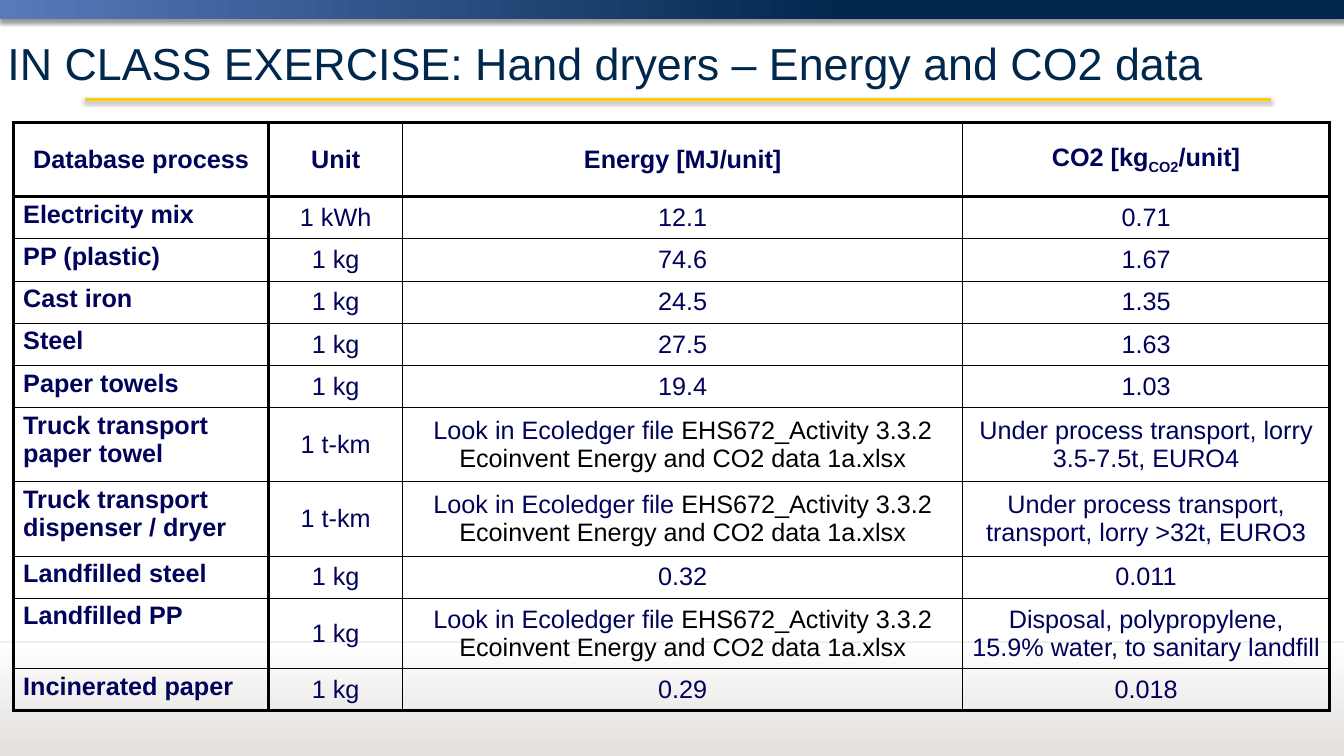
from lxml.etree import SubElement
from pptx import Presentation
from pptx.dml.color import RGBColor
from pptx.enum.shapes import MSO_CONNECTOR, MSO_SHAPE
from pptx.enum.text import MSO_ANCHOR, PP_ALIGN
from pptx.oxml import parse_xml
from pptx.oxml.ns import nsdecls, qn
from pptx.util import Cm, Pt

NAVY = RGBColor(0x00, 0x27, 0x4C)
BLUE = RGBColor(0x58, 0x7A, 0xBC)
MAIZE = RGBColor(0xFF, 0xCB, 0x05)
STONE = RGBColor(0xE4, 0xE1, 0xDF)
WHITE = RGBColor(0xFF, 0xFF, 0xFF)
INK = RGBColor(0x01, 0x03, 0x5B)
BLACK = RGBColor(0x00, 0x00, 0x00)

FONT = "Arial"
SLIDE_WIDTH, SLIDE_HEIGHT = 45.16, 25.4
THICK, THIN = Pt(3), Pt(0.96)

COLUMN_WIDTHS = [8.56, 4.52, 18.8, 12.34]
ROW_HEIGHTS = [2.49] + [1.42] * 5 + [2.49] * 2 + [1.42, 2.36, 1.42]

HEADERS = ["Database process", "Unit", "Energy [MJ/unit]"]
LOOKUP = None  # the energy value has to be found in the data file
PROCESSES = [
    ("Electricity mix", "1 kWh", "12.1", "0.71"),
    ("PP (plastic)", "1 kg", "74.6", "1.67"),
    ("Cast iron", "1 kg", "24.5", "1.35"),
    ("Steel", "1 kg", "27.5", "1.63"),
    ("Paper towels", "1 kg", "19.4", "1.03"),
    ("Truck transport paper towel", "1 t-km", LOOKUP,
     "Under process transport, lorry 3.5-7.5t, EURO4"),
    ("Truck transport dispenser / dryer", "1 t-km", LOOKUP,
     "Under process transport, transport, lorry >32t, EURO3"),
    ("Landfilled steel", "1 kg", "0.32", "0.011"),
    ("Landfilled PP", "1 kg", LOOKUP,
     "Disposal, polypropylene, 15.9% water, to sanitary landfill"),
    ("Incinerated paper", "1 kg", "0.29", "0.018"),
]


def add_shadow(item, opacity, blur, distance):
    """Cast a black shadow straight down; opacity in percent, lengths in points."""
    effects = SubElement(item._element.spPr, qn("a:effectLst"))
    effects.append(parse_xml(
        f'<a:outerShdw {nsdecls("a")} blurRad="{Pt(blur)}" dist="{Pt(distance)}" '
        f'dir="5400000" algn="t" rotWithShape="0"><a:srgbClr val="{BLACK}">'
        f'<a:alpha val="{opacity * 1000}"/></a:srgbClr></a:outerShdw>'))


def add_band(slide, top, height, stops, angle, shadow):
    """Add a full-width gradient band; stops are (position, colour) pairs."""
    band = slide.shapes.add_shape(MSO_SHAPE.RECTANGLE, 0, Cm(top),
                                  Cm(SLIDE_WIDTH), Cm(height))
    band.fill.gradient()
    band.fill.gradient_angle = angle
    for stop, (position, color) in zip(band.fill.gradient_stops, stops):
        stop.position = position
        stop.color.rgb = color
    band.line.fill.background()
    add_shadow(band, *shadow)


def add_rule(slide, left, right, y, color, width, opacity=100):
    rule = slide.shapes.add_connector(MSO_CONNECTOR.STRAIGHT,
                                      Cm(left), Cm(y), Cm(right), Cm(y))
    rule.line.color.rgb = color
    rule.line.width = Pt(width)
    if opacity < 100:
        line_color = rule._element.spPr.find(".//" + qn("a:srgbClr"))
        SubElement(line_color, qn("a:alpha"), val=str(opacity * 1000))
    add_shadow(rule, 38, 3.1, 1.6)


def add_run(paragraph, text, size, color, bold=False):
    run = paragraph.add_run()
    run.text = text
    run.font.name = FONT
    run.font.size = Pt(size)
    run.font.color.rgb = color
    run.font.bold = bold
    return run


def add_title(slide, text):
    title = slide.shapes.add_textbox(0, Cm(0.97), Cm(45.14), Cm(2.26))
    frame = title.text_frame
    frame.word_wrap = True
    frame.vertical_anchor = MSO_ANCHOR.MIDDLE
    add_run(frame.paragraphs[0], text, 42.7, NAVY)


def set_borders(cell, widths):
    """Draw black borders; widths are for left, right, top and bottom."""
    properties = cell._tc.get_or_add_tcPr()
    for index, (side, width) in enumerate(zip("LRTB", widths)):
        properties.insert(index, parse_xml(
            f'<a:ln{side} {nsdecls("a")} w="{width}"><a:solidFill>'
            f'<a:srgbClr val="{BLACK}"/></a:solidFill></a:ln{side}>'))


def fill_cell(cell, runs, is_process_name):
    """Write (text, colour, bold, subscript) runs into a cell."""
    cell.fill.background()
    cell.margin_left = cell.margin_right = Cm(0.32)
    cell.margin_top = cell.margin_bottom = Cm(0.13)
    cell.vertical_anchor = MSO_ANCHOR.TOP if is_process_name else MSO_ANCHOR.MIDDLE
    paragraph = cell.text_frame.paragraphs[0]
    paragraph.alignment = PP_ALIGN.LEFT if is_process_name else PP_ALIGN.CENTER
    for text, color, bold, subscript in runs:
        run = add_run(paragraph, text, 24, color, bold)
        if subscript:
            run.font._element.set("baseline", "-25000")


def table_content():
    """Return the runs of every cell, row by row."""
    co2_header = [("CO2 [kg", INK, True, False), ("CO2", INK, True, True),
                  ("/unit]", INK, True, False)]
    lookup = [("Look in Ecoledger file ", INK, False, False),
              ("EHS672_Activity 3.3.2 Ecoinvent Energy and CO2 data 1a.xlsx",
               BLACK, False, False)]
    rows = [[[(header, INK, True, False)] for header in HEADERS] + [co2_header]]
    for process in PROCESSES:
        rows.append([lookup if text is LOOKUP else [(text, INK, column == 0, False)]
                     for column, text in enumerate(process)])
    return rows


def add_process_table(slide):
    row_count, column_count = len(ROW_HEIGHTS), len(COLUMN_WIDTHS)
    table = slide.shapes.add_table(
        row_count, column_count, Cm(0.46), Cm(4.11),
        Cm(sum(COLUMN_WIDTHS)), Cm(sum(ROW_HEIGHTS))).table
    table.first_row = table.horz_banding = False
    for column, width in zip(table.columns, COLUMN_WIDTHS):
        column.width = Cm(width)
    for row, height in zip(table.rows, ROW_HEIGHTS):
        row.height = Cm(height)

    # Thick grid lines frame the table, its header and its first column.
    thick_x, thick_y = {0, 1, column_count}, {0, 1, row_count}
    for r, row in enumerate(table_content()):
        for c, runs in enumerate(row):
            cell = table.cell(r, c)
            fill_cell(cell, runs, is_process_name=r > 0 and c == 0)
            is_thick = [c in thick_x, c + 1 in thick_x, r in thick_y, r + 1 in thick_y]
            set_borders(cell, [THICK if thick else THIN for thick in is_thick])


def main():
    presentation = Presentation()
    presentation.slide_width = Cm(SLIDE_WIDTH)
    presentation.slide_height = Cm(SLIDE_HEIGHT)
    slide = presentation.slides.add_slide(presentation.slide_layouts[6])

    add_band(slide, 0, 0.64, [(0.37, NAVY), (1, BLUE)], 180, (40, 4, 3))
    add_rule(slide, 2.84, 42.7, 3.35, MAIZE, 3)
    add_band(slide, 21.59, 3.81, [(0.08, STONE), (1, WHITE)], 90, (35, 3.1, 1.8))
    add_rule(slide, 0, SLIDE_WIDTH, 21.56, STONE, 0.75, opacity=30)
    add_title(slide, "IN CLASS EXERCISE: Hand dryers – Energy and CO2 data")
    add_process_table(slide)
    presentation.save("out.pptx")


if __name__ == "__main__":
    main()
